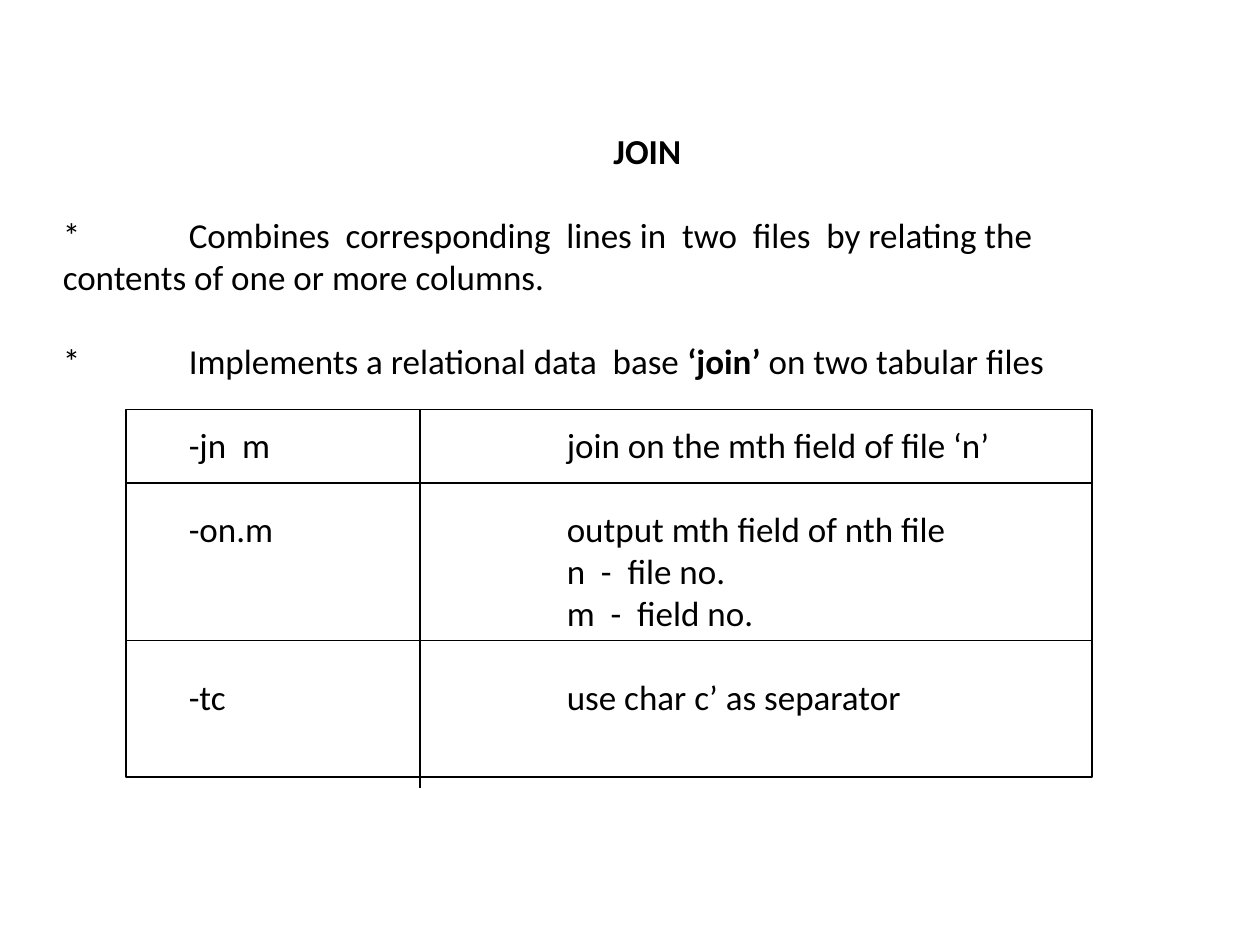
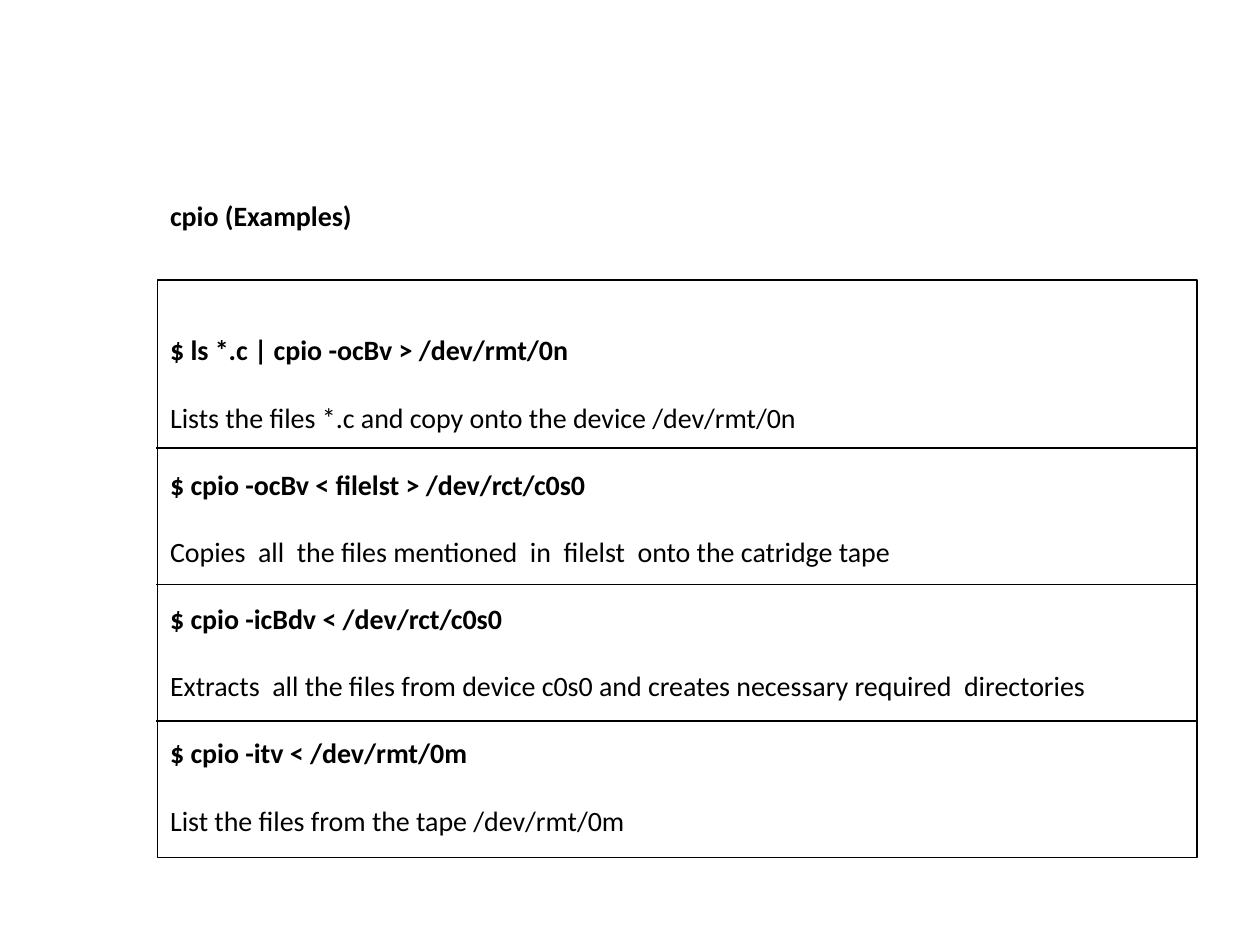
import pptx
import pptx.dml.color
import pptx.enum.shapes
import pptx.enum.text
import pptx.util
from lxml import etree
from pptx.oxml.ns import qn

Pt = pptx.util.Pt

FONT = "Calibri"
INK = "000000"
RULE_WIDTH = 0.75
LEADING = 1.2  # line height as a multiple of the text size

# Each paragraph: (blank lines before, [(text, bold), ...])
JOIN_TITLE = (0, [("JOIN", True)])
JOIN_TEXT = [
    (1, [("*\tCombines  corresponding  lines in  two  files  by relating the\v"
          "contents of one or more columns.", False)]),
    (1, [("*\tImplements a relational data  base ", False), ("‘join’", True),
         (" on two tabular files", False)]),
    (1, [("\t-jn  m\tjoin on the mth field of file ‘n’", False)]),
    (1, [("\t-on.m\toutput mth field of nth file", False)]),
    (0, [("\t\tn  -  file no.", False)]),
    (0, [("\t\tm  -  field no.", False)]),
    (1, [("\t-tc\tuse char c’ as separator", False)]),
]

CPIO_TITLE = (0, [("cpio (Examples)", True)])
CPIO_EXAMPLES = [
    ("$ ls *.c | cpio -ocBv > /dev/rmt/0n",
     "Lists the files *.c and copy onto the device /dev/rmt/0n"),
    ("$ cpio -ocBv < filelst > /dev/rct/c0s0",
     "Copies  all  the files mentioned  in  filelst  onto the catridge tape"),
    ("$ cpio -icBdv < /dev/rct/c0s0",
     "Extracts  all the files from device c0s0 and creates necessary required  directories"),
    ("$ cpio -itv < /dev/rmt/0m",
     "List the files from the tape /dev/rmt/0m"),
]


def color(value):
    return pptx.dml.color.RGBColor.from_string(value)


def apply(target, values):
    for name, value in values.items():
        setattr(target, name, value)


def add_tabs(para, stops):
    tabs = etree.SubElement(para._p.get_or_add_pPr(), qn("a:tabLst"))
    for stop in stops:
        etree.SubElement(tabs, qn("a:tab"), pos=str(int(Pt(stop))), algn="l")


def add_text(page, place, paragraphs, size, margins, stops=()):
    box = page.shapes.add_textbox(*map(Pt, place))
    frame = box.text_frame
    frame.word_wrap = True
    apply(frame, {f"margin_{side}": Pt(gap) for side, gap in margins.items()})
    line_height = size * LEADING
    for index, (blank_lines, spans) in enumerate(paragraphs):
        para = frame.add_paragraph() if index else frame.paragraphs[0]
        para.line_spacing = Pt(line_height)
        if blank_lines:
            para.space_before = Pt(blank_lines * line_height)
        if stops:
            add_tabs(para, stops)
        for text, bold in spans:
            for part, line in enumerate(text.split("\v")):
                if part:
                    para.add_line_break()
                span = para.add_run()
                span.text = line
                apply(span.font, {"name": FONT, "size": Pt(size), "bold": bold})
                span.font.color.rgb = color(INK)
    return frame


def style_rule(line):
    line.color.rgb = color(INK)
    line.width = Pt(RULE_WIDTH)


def add_border(page, left, top, width, height):
    border = page.shapes.add_shape(pptx.enum.shapes.MSO_SHAPE.RECTANGLE,
                                   *map(Pt, (left, top, width, height)))
    border.shadow.inherit = False
    border.fill.background()
    style_rule(border.line)


def add_rule(page, *ends):
    rule = page.shapes.add_connector(pptx.enum.shapes.MSO_CONNECTOR.STRAIGHT,
                                     *map(Pt, ends))
    etree.SubElement(rule._element.spPr, qn("a:effectLst"))
    style_rule(rule.line)


def build_join(page):
    frame = add_text(page, (28.8, 70.56, 691.2, 391.68), [JOIN_TITLE] + JOIN_TEXT,
                     20, {"left": 7.2, "right": 16}, stops=(72, 288))
    frame.paragraphs[0].alignment = pptx.enum.text.PP_ALIGN.CENTER
    left, top, width, height = 72, 234, 552, 210
    add_border(page, left, top, width, height)
    add_rule(page, 240, top, 240, top + height + 6)
    for y in (276, 366):
        add_rule(page, left, y, left + width, y)


def build_cpio(page):
    paragraphs = [CPIO_TITLE]
    for index, (command, meaning) in enumerate(CPIO_EXAMPLES):
        paragraphs.append((1 if index else 3, [(command, True)]))
        paragraphs.append((1, [(meaning, False)]))
    add_text(page, (18, 76.32, 696.96, 444.24), paragraphs, 16,
             {"left": 79.2, "top": 37.2})
    left, top, width, height = 90, 160, 594, 330
    add_border(page, left, top, width, height)
    row_height = 78
    for row in range(1, len(CPIO_EXAMPLES)):
        y = top + height - row * row_height
        add_rule(page, left - 0.6, y, left + width - 0.6, y)


def main():
    deck = pptx.Presentation()
    apply(deck, {"slide_width": Pt(720), "slide_height": Pt(540)})
    for build in (build_join, build_cpio):
        build(deck.slides.add_slide(deck.slide_layouts[6]))
    deck.save("out.pptx")


if __name__ == "__main__":
    main()
